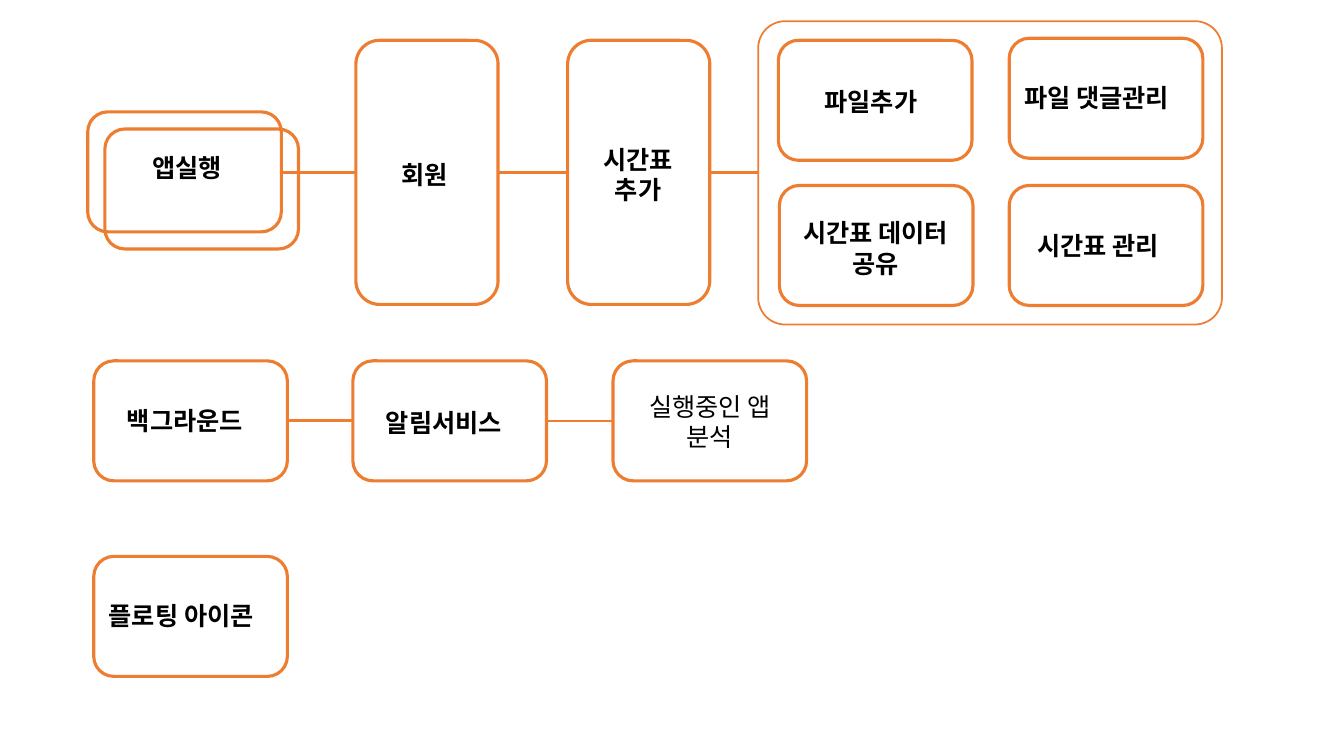
from dataclasses import dataclass

from lxml.etree import SubElement
from pptx import Presentation
from pptx.dml.color import RGBColor
from pptx.enum.shapes import MSO_CONNECTOR, MSO_SHAPE
from pptx.enum.text import MSO_AUTO_SIZE, PP_ALIGN
from pptx.oxml.ns import qn
from pptx.util import Emu, Pt

SCALE = 9144
FONT = "Noto Sans CJK KR"
ORANGE = "ED7D31"
BLACK = "000000"
SMALL = (192, 119)
TALL = (141, 262)


@dataclass(frozen=True)
class Box:
    left: int
    top: int
    size: tuple[int, int]
    weight: float = 2.25
    round: float | None = None


@dataclass(frozen=True)
class Label:
    text: str
    left: int
    top: int
    width: int
    bold: bool = True
    wrap: bool = False


@dataclass(frozen=True)
class Link:
    start: int
    end: int
    top: int
    weight: float = 2.25


START = [
    Box(87, 111, SMALL),
    Box(104, 128, SMALL),
    Box(353, 40, TALL),
    Box(563, 40, TALL),
    Label("앱실행", 141, 146, 96),
    Label("회원", 388, 153, 71),
    Label("시간표\n추가", 585, 138, 96),
    Link(279, 353, 171),
    Link(494, 563, 171),
    Link(704, 752, 171),
]
MENU = [
    Box(772, 40, SMALL),
    Box(1001, 38, SMALL),
    Box(773, 184, SMALL),
    Box(1001, 184, SMALL),
    Box(752, 21, (460, 301), weight=1.25, round=0.089),
    Label("파일추가", 808, 81, 121),
    Label("파일 댓글관리", 1006, 77, 181),
    Label("시간표 데이터\n공유", 778, 211, 181),
    Label("시간표 관리", 1019, 224, 155),
]
SERVICE = [
    Box(93, 358, SMALL),
    Box(350, 358, SMALL),
    Box(608, 358, SMALL),
    Label("백그라운드", 116, 397, 146),
    Label("알림서비스", 373, 399, 146),
    Label("실행중인 앱\n분석", 554, 383, 300, bold=False, wrap=True),
    Link(285, 350, 417),
    Link(543, 608, 418, weight=1.5),
]
ICON = [
    Box(93, 552, SMALL),
    Label("플로팅 아이콘", 98, 591, 181),
]


def px(value: int) -> Emu:
    return Emu(value * SCALE)


def color(value: str) -> RGBColor:
    return RGBColor.from_string(value)


def stroke(line, weight: float) -> None:
    line.color.rgb = color(ORANGE)
    line.width = Pt(weight)


def draw_box(shapes, box: Box) -> None:
    shape = shapes.add_shape(
        MSO_SHAPE.ROUNDED_RECTANGLE, px(box.left), px(box.top), *map(px, box.size)
    )
    shape.shadow.inherit = False
    shape.fill.background()
    stroke(shape.line, box.weight)
    if box.round is not None:
        shape.adjustments[0] = box.round


def draw_link(shapes, link: Link) -> None:
    line = shapes.add_connector(
        MSO_CONNECTOR.STRAIGHT,
        px(link.start), px(link.top), px(link.end), px(link.top),
    )
    stroke(line.line, link.weight)
    SubElement(line._element.spPr, qn("a:effectLst"))


def write(frame, text: str, *, size: int = 18, bold: bool = True,
          tint: str = BLACK, align: PP_ALIGN = PP_ALIGN.LEFT) -> None:
    for index, words in enumerate(text.split("\n")):
        para = frame.add_paragraph() if index else frame.paragraphs[0]
        para.alignment = align
        run = para.add_run()
        run.text = words
        run.font.size = Pt(size)
        run.font.bold = bold
        run.font.color.rgb = color(tint)
        run.font.name = FONT
        SubElement(run._r.get_or_add_rPr(), qn("a:ea"), typeface=FONT)


def draw_label(shapes, label: Label) -> None:
    many = "\n" in label.text
    area = shapes.add_textbox(
        px(label.left), px(label.top), px(label.width), px(71 if many else 40)
    )
    frame = area.text_frame
    frame.word_wrap = label.wrap
    frame.auto_size = MSO_AUTO_SIZE.SHAPE_TO_FIT_TEXT
    write(frame, label.text, bold=label.bold,
          align=PP_ALIGN.CENTER if many else PP_ALIGN.LEFT)


def draw(shapes, parts: list[Box | Label | Link]) -> None:
    tools = {Box: draw_box, Label: draw_label, Link: draw_link}
    for part in parts:
        tools[type(part)](shapes, part)


def main() -> None:
    deck = Presentation()
    deck.slide_width, deck.slide_height = px(1333), px(750)
    slide = deck.slides.add_slide(deck.slide_layouts[6])
    for parts in (START, MENU, SERVICE, ICON):
        draw(slide.shapes, parts)
    deck.save("out.pptx")


if __name__ == "__main__":
    main()
